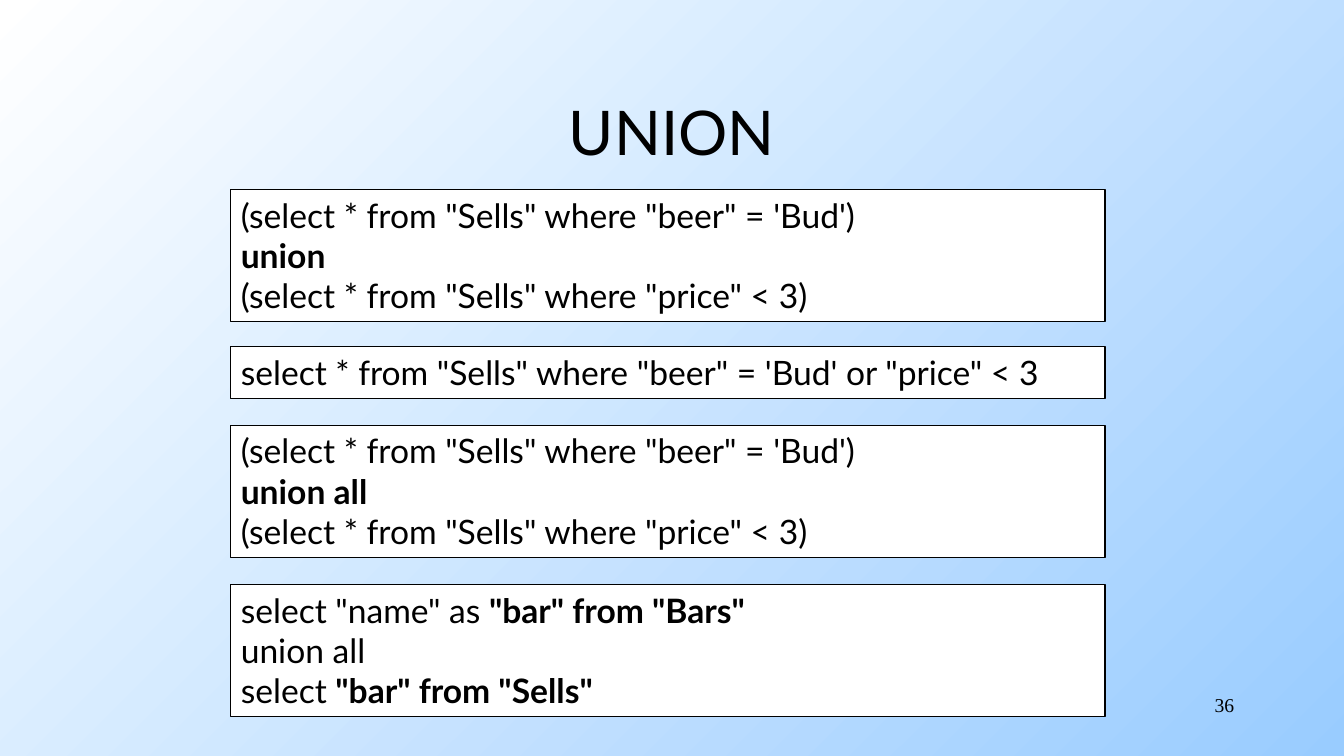
import pptx
import pptx.dml.color
import pptx.enum.shapes
import pptx.enum.text
import pptx.util

Inches = pptx.util.Inches
Pt = pptx.util.Pt
RGBColor = pptx.dml.color.RGBColor
Align = pptx.enum.text.PP_ALIGN
Anchor = pptx.enum.text.MSO_ANCHOR

BLACK = RGBColor(0x00, 0x00, 0x00)
WHITE = RGBColor(0xFF, 0xFF, 0xFF)
SKY = RGBColor(0x99, 0xCC, 0xFF)

BUD_QUERY = "(select * from \"Sells\" where \"beer\" = 'Bud')"
PRICE_QUERY = '(select * from "Sells" where "price" < 3)'


class QueryPage:
    """Holds the text style and the current slide."""

    def __init__(self, page):
        self.page = page
        self.style = {"name": "Lato", "size": Pt(24), "bold": False}

    def background(self, start, end):
        fill = self.page.background.fill
        fill.gradient()
        fill.gradient_angle = 315
        for stop, position, color in zip(fill.gradient_stops, (0, 1), (start, end)):
            stop.position = position
            stop.color.rgb = color

    def add_span(self, para, text, **changes):
        span = para.add_run()
        span.text = text
        for key, value in {**self.style, **changes}.items():
            setattr(span.font, key, value)
        span.font.color.rgb = BLACK

    def label(self, place, text, align, anchor, **changes):
        box = self.page.shapes.add_textbox(*map(Inches, place))
        frame = box.text_frame
        frame.word_wrap = True
        frame.vertical_anchor = anchor
        frame.paragraphs[0].alignment = align
        self.add_span(frame.paragraphs[0], text, **changes)

    def query(self, top, height, lines):
        """White box; each line is a list of (text, bold) pieces."""
        box = self.page.shapes.add_shape(
            pptx.enum.shapes.MSO_SHAPE.RECTANGLE,
            Inches(2.29), Inches(top), Inches(8.67), Inches(height))
        box.shadow.inherit = False
        box.fill.solid()
        box.fill.fore_color.rgb = WHITE
        box.line.color.rgb = BLACK
        box.line.width = Pt(0.75)
        frame = box.text_frame
        frame.word_wrap = True
        frame.auto_size = pptx.enum.text.MSO_AUTO_SIZE.SHAPE_TO_FIT_TEXT
        frame.vertical_anchor = Anchor.TOP
        for number, pieces in enumerate(lines):
            para = frame.add_paragraph() if number else frame.paragraphs[0]
            para.alignment = Align.LEFT
            for text, bold in pieces:
                self.add_span(para, text, bold=bold)


def main():
    deck = pptx.Presentation()
    deck.slide_width, deck.slide_height = Inches(13.33), Inches(7.5)
    union = QueryPage(deck.slides.add_slide(deck.slide_layouts[6]))
    union.background(WHITE, SKY)

    # Title and page number
    union.label((1, 0.67, 11.33, 1.25), "UNION", Align.CENTER, Anchor.MIDDLE, size=Pt(44))
    union.label((9.56, 6.83, 2.78, 0.5), "36", Align.RIGHT, Anchor.TOP,
                name="Times New Roman", size=Pt(14))

    # Union with and without duplicates
    for top, keyword in ((1.88, "union"), (4.22, "union all")):
        union.query(top, 1.31, [[(BUD_QUERY, False)], [(keyword, True)], [(PRICE_QUERY, False)]])

    # Same result with a single condition
    union.query(3.44, 0.51, [
        [("select * from \"Sells\" where \"beer\" = 'Bud' or \"price\" < 3", False)]])

    # Union across two tables
    union.query(5.8, 1.31, [
        [('select "name" as ', False), ('"bar" from "Bars"', True)],
        [("union all", False)],
        [("select ", False), ('"bar" from "Sells"', True)]])

    deck.save("out.pptx")


if __name__ == "__main__":
    main()
